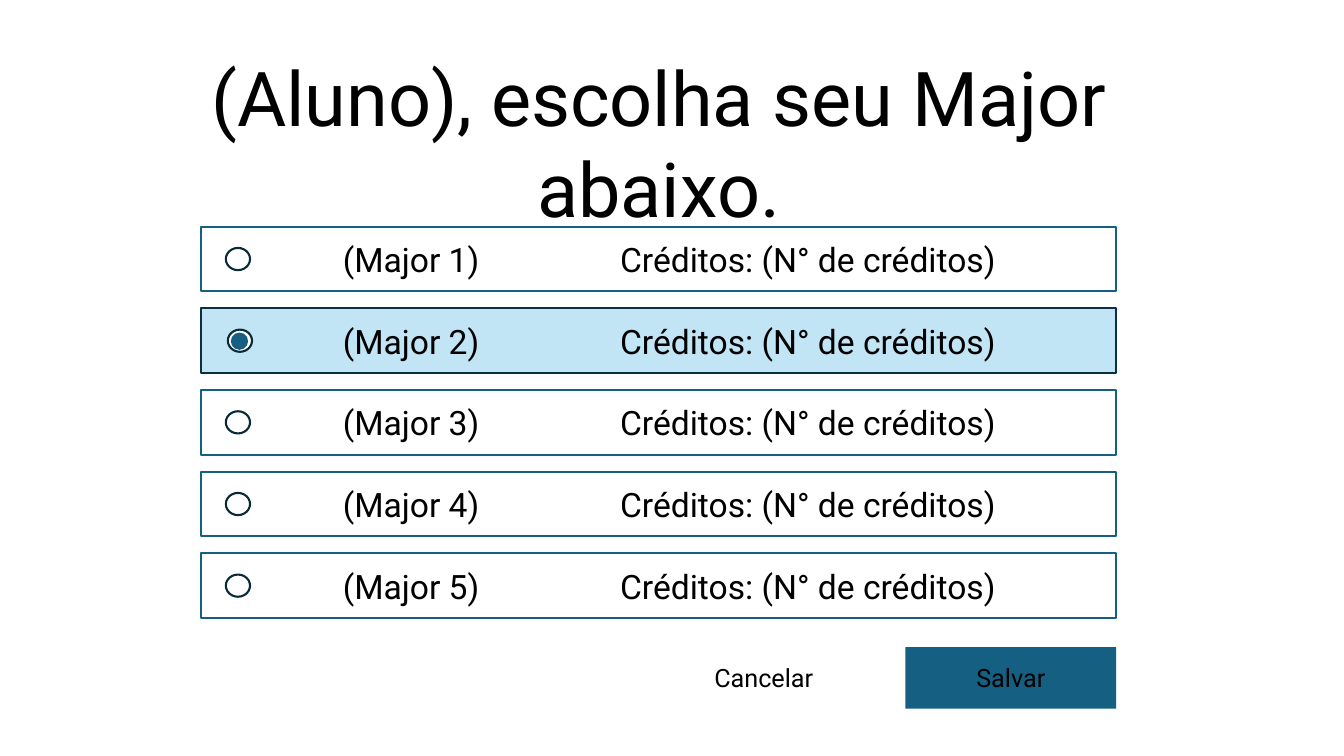
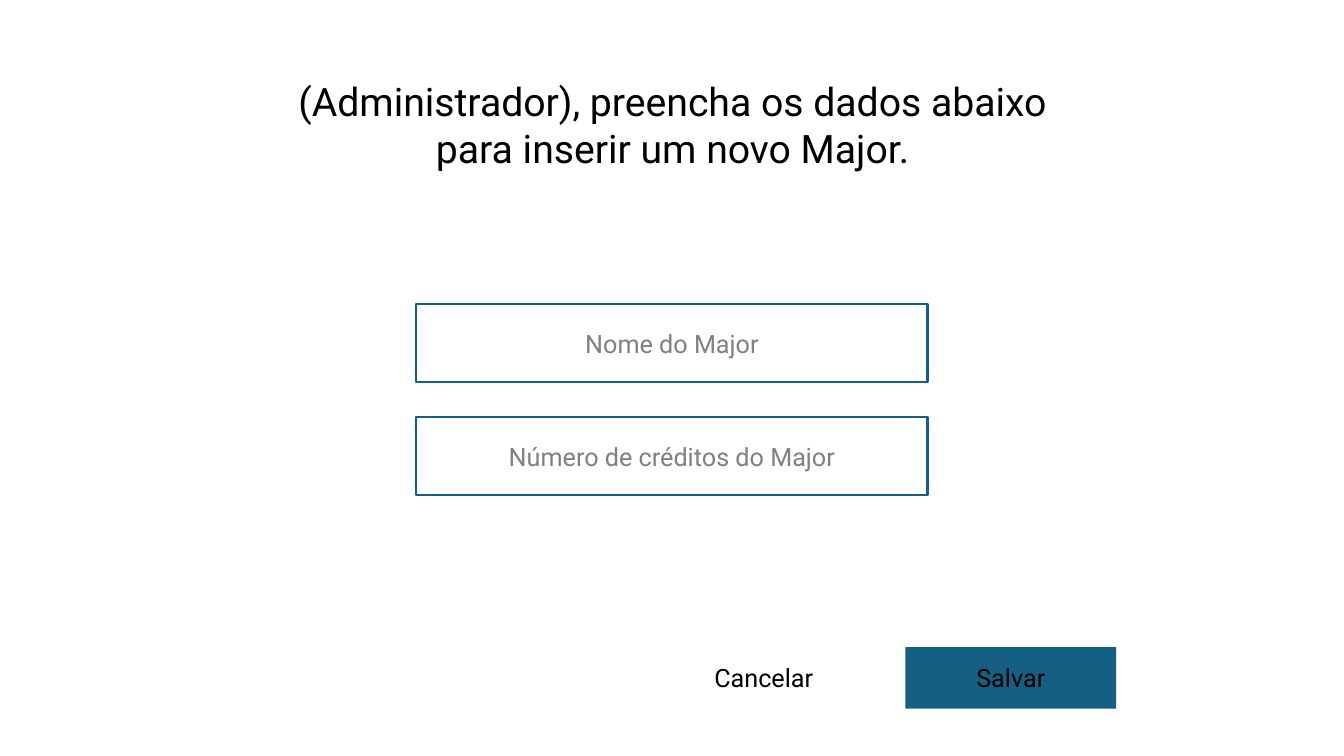
from dataclasses import dataclass
from typing import Optional

from lxml.etree import SubElement
from pptx import Presentation
from pptx.dml.color import RGBColor
from pptx.enum.shapes import MSO_SHAPE
from pptx.enum.text import MSO_ANCHOR, PP_ALIGN
from pptx.oxml.ns import qn
from pptx.shapes.autoshape import Shape
from pptx.slide import Slide
from pptx.util import Pt

PX = 9144  # EMU in one px, 100 px to the inch
FONT = "Roboto"
BLACK = RGBColor(0x00, 0x00, 0x00)
WHITE = RGBColor(0xFF, 0xFF, 0xFF)
GRAY = RGBColor(0x80, 0x80, 0x80)
TEAL = RGBColor(0x15, 0x60, 0x82)
DARK_TEAL = RGBColor(0x0B, 0x30, 0x41)
RADIO_LINE = RGBColor(0x09, 0x2A, 0x39)
PALE_BLUE = RGBColor(0xC1, 0xE5, 0xF5)

ROW_COUNT, SELECTED_ROW = 5, 2
ROW_TOP, ROW_STEP = 225, 81
ROW_TEXT_INDENT, CREDITS_TAB = 141, 275
FIELD_TOP, FIELD_STEP = 302, 112
FIELDS = ("Nome do Major", "Número de créditos do Major")


@dataclass(frozen=True)
class Box:
    left: int
    top: int
    width: int
    height: int

    def emu(self) -> tuple[int, ...]:
        return tuple(v * PX for v in (self.left, self.top, self.width, self.height))


@dataclass(frozen=True)
class Look:
    fill: RGBColor
    line: Optional[RGBColor] = None
    kind: MSO_SHAPE = MSO_SHAPE.RECTANGLE


@dataclass(frozen=True)
class Label:
    text: str
    size: int
    color: RGBColor = BLACK
    align: PP_ALIGN = PP_ALIGN.CENTER
    anchor: MSO_ANCHOR = MSO_ANCHOR.MIDDLE


OUTLINED = Look(WHITE, TEAL)
SELECTED = Look(PALE_BLUE, DARK_TEAL)
RADIO = Look(WHITE, RADIO_LINE, MSO_SHAPE.OVAL)
RADIO_DOT = Look(TEAL, TEAL, MSO_SHAPE.OVAL)
FILLED = Look(TEAL)


def write(sp: Shape, label: Label) -> None:
    tf = sp.text_frame
    frame_format = {"word_wrap": True, "vertical_anchor": label.anchor}
    for name, value in frame_format.items():
        setattr(tf, name, value)
    p = tf.paragraphs[0]
    p.alignment = label.align
    r = p.add_run()
    r.text = label.text
    font_format = {"name": FONT, "size": Pt(label.size)}
    for name, value in font_format.items():
        setattr(r.font, name, value)
    r.font.color.rgb = label.color


def add_text(s: Slide, box: Box, label: Label) -> None:
    write(s.shapes.add_textbox(*box.emu()), label)


def add_shape(s: Slide, box: Box, look: Look, label: Optional[Label] = None) -> Shape:
    sp = s.shapes.add_shape(look.kind, *box.emu())
    sp.shadow.inherit = False
    sp.fill.solid()
    sp.fill.fore_color.rgb = look.fill
    if look.line is None:
        sp.line.fill.background()
    else:
        sp.line.color.rgb = look.line
        sp.line.width = Pt(1.5)
    if label:
        write(sp, label)
    return sp


def add_title(s: Slide, box: Box, text: str, size: int) -> None:
    add_text(s, box, Label(text, size, anchor=MSO_ANCHOR.TOP))


def add_buttons(s: Slide) -> None:
    add_shape(s, Box(898, 642, 209, 61), FILLED, Label("Salvar", 18))
    add_text(s, Box(653, 642, 209, 61), Label("Cancelar", 18))


def add_major_row(s: Slide, number: int) -> None:
    """Draw one option: framed text with a radio button before it."""
    selected = number == SELECTED_ROW
    top = ROW_TOP + (number - 1) * ROW_STEP
    label = Label(f"(Major {number})\tCréditos: (N° de créditos)", 24, align=PP_ALIGN.LEFT)
    row = add_shape(s, Box(199, top, 908, 64), SELECTED if selected else OUTLINED, label)
    tf = row.text_frame
    tf.margin_left = ROW_TEXT_INDENT * PX
    tabs = SubElement(tf.paragraphs[0]._p.get_or_add_pPr(), qn("a:tabLst"))
    SubElement(tabs, qn("a:tab"), pos=str(CREDITS_TAB * PX), algn="l")

    add_shape(s, Box(226 if selected else 224, top + 21, 24, 22), RADIO)
    if selected:
        add_shape(s, Box(230, top + 25, 15, 15), RADIO_DOT)


def build_student_slide(s: Slide) -> None:
    add_title(s, Box(85, 46, 1137, 101), "(Aluno), escolha seu Major abaixo.", 54)
    for number in range(1, ROW_COUNT + 1):
        add_major_row(s, number)
    add_buttons(s)


def build_admin_slide(s: Slide) -> None:
    title = "(Administrador), preencha os dados abaixo para inserir um novo Major."
    add_title(s, Box(260, 72, 814, 104), title, 28)
    add_buttons(s)
    for i, hint in enumerate(FIELDS):
        box = Box(413, FIELD_TOP + i * FIELD_STEP, 507, 77)
        add_shape(s, box, OUTLINED, Label(hint, 18, GRAY))


def main() -> None:
    prs = Presentation()
    prs.slide_width, prs.slide_height = 1333 * PX, 750 * PX
    for build in (build_student_slide, build_admin_slide):
        build(prs.slides.add_slide(prs.slide_layouts[6]))
    prs.save("out.pptx")


if __name__ == "__main__":
    main()
